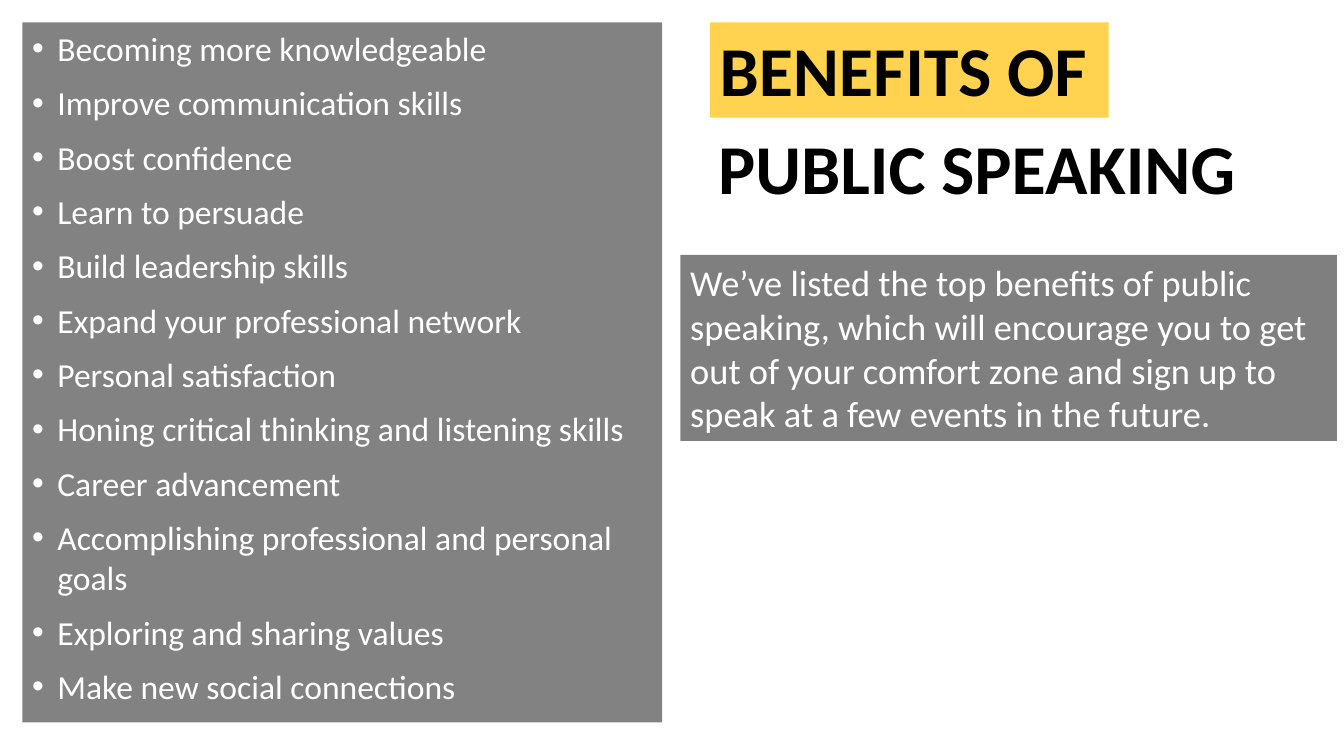
import pptx
import pptx.dml.color
import pptx.enum.text
import pptx.oxml
import pptx.oxml.ns
import pptx.util
from lxml import etree

PX = 9525  # EMU per px, at 96 px to the inch
BLACK = pptx.dml.color.RGBColor(0x00, 0x00, 0x00)
WHITE = pptx.dml.color.RGBColor(0xFF, 0xFF, 0xFF)
AMBER = pptx.dml.color.RGBColor(0xFF, 0xC0, 0x00)
ANCHOR = pptx.enum.text.MSO_ANCHOR

BENEFITS = [
    "Becoming more knowledgeable",
    "Improve communication skills",
    "Boost confidence",
    "Learn to persuade",
    "Build leadership skills",
    "Expand your professional network",
    "Personal satisfaction",
    "Honing critical thinking and listening skills",
    "Career advancement",
    "Accomplishing professional and personal goals",
    "Exploring and sharing values",
    "Make new social connections",
]
INTRO = (
    "We’ve listed the top benefits of public speaking, which will encourage "
    "you to get out of your comfort zone and sign up to speak at a few events "
    "in the future."
)


def add_bullet(para, indent):
    properties = para._p.get_or_add_pPr()
    properties.set("marL", str(indent * PX))
    properties.set("indent", str(-indent * PX))
    color = etree.SubElement(properties, pptx.oxml.ns.qn("a:buClr"))
    etree.SubElement(color, pptx.oxml.ns.qn("a:srgbClr"), val=str(WHITE))
    etree.SubElement(properties, pptx.oxml.ns.qn("a:buFont"), typeface="Arial")
    etree.SubElement(properties, pptx.oxml.ns.qn("a:buChar"), char="•")


def write_panel(box, lines, *, at, fill, opacity, size, color=WHITE, bold=False,
                anchor=ANCHOR.TOP, line_spacing=1.0, gap=0, indent=0):
    """Place a box, give it a translucent fill and write one paragraph a line."""
    box.left, box.top, box.width, box.height = [length * PX for length in at]
    box.fill.solid()
    box.fill.fore_color.rgb = fill
    tint = box.fill._xPr.find(".//" + pptx.oxml.ns.qn("a:srgbClr"))
    etree.SubElement(tint, pptx.oxml.ns.qn("a:alpha"), val=str(opacity * 1000))

    frame = box.text_frame
    frame.word_wrap = True
    frame.auto_size = pptx.enum.text.MSO_AUTO_SIZE.NONE
    frame.vertical_anchor = anchor
    frame.margin_left = frame.margin_right = 7 * PX
    frame.margin_top = frame.margin_bottom = 4 * PX
    for number, line in enumerate(lines):
        para = frame.add_paragraph() if number else frame.paragraphs[0]
        if indent:
            add_bullet(para, indent)
        para.alignment = pptx.enum.text.PP_ALIGN.LEFT
        para.line_spacing = line_spacing
        para.space_before = pptx.util.Pt(gap if number else 0)
        span = para.add_run()
        span.text = line
        span.font.name = "Calibri"
        span.font.size = pptx.util.Pt(size)
        span.font.bold = bold
        span.font.color.rgb = color


deck = pptx.Presentation()
deck.slide_width = 960 * PX
deck.slide_height = 540 * PX
page = deck.slides.add_slide(deck.slide_layouts[1])

write_panel(page.placeholders[1], BENEFITS, at=(16, 16, 457, 500),
            fill=BLACK, opacity=49, size=18, gap=7.5, indent=18)

write_panel(page.shapes.add_textbox(0, 0, 0, 0), [INTRO], at=(486, 182, 469, 133),
            fill=BLACK, opacity=50, size=19.5)

heading = dict(size=37.5, color=BLACK, bold=True, line_spacing=0.9)
write_panel(page.shapes.title, ["BENEFITS OF"], at=(507, 16, 285, 68),
            fill=AMBER, opacity=69, anchor=ANCHOR.BOTTOM, **heading)
write_panel(page.shapes.add_textbox(0, 0, 0, 0), ["PUBLIC SPEAKING"],
            at=(506, 89, 386, 67), fill=WHITE, opacity=30,
            anchor=ANCHOR.MIDDLE, **heading)

deck.save("out.pptx")
